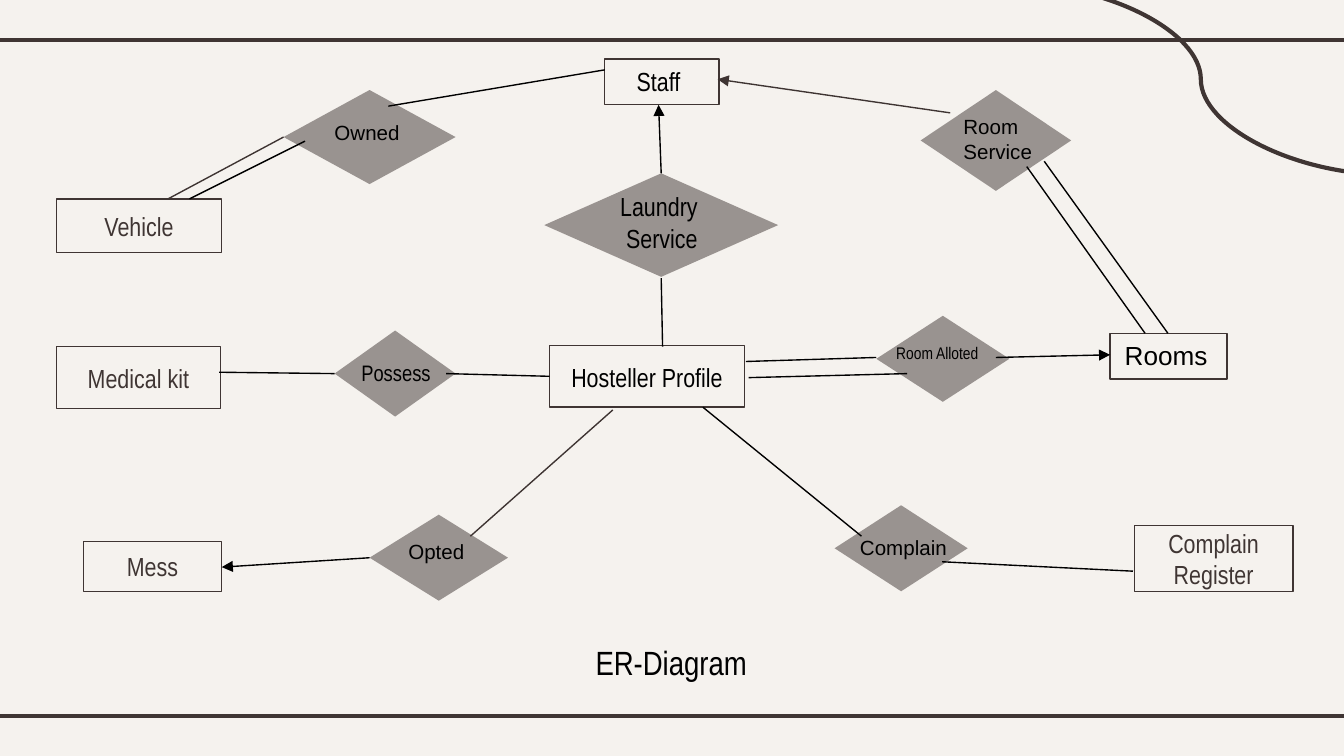
import pptx
import pptx.util
import pptx.dml.color
import pptx.enum.shapes
import pptx.enum.text
import pptx.oxml
import pptx.oxml.ns

Inches = pptx.util.Inches
SHAPE = pptx.enum.shapes.MSO_SHAPE
CONNECTOR = pptx.enum.shapes.MSO_CONNECTOR
ALIGN = pptx.enum.text.PP_ALIGN
ANCHOR = pptx.enum.text.MSO_ANCHOR
BROWN, DARK, BLACK, PAPER = "3F3533", "3E3432", "000000", "F5F2EE"
NARROW, WIDE = "Arial Narrow", "Arial"

ENTITIES = [
    ((4.09, 2.57, 1.45, 0.46), ""),
    ((8.26, 2.48, 0.87, 0.34), ""),
    ((4.5, 0.44, 0.85, 0.34), ""),
    ((0.42, 2.58, 1.22, 0.46), "Medical kit"),
    ((0.42, 1.48, 1.23, 0.4), "Vehicle"),
    ((0.62, 4.03, 1.03, 0.37), "Mess"),
    ((8.44, 3.91, 1.18, 0.49), "Complain Register"),
]
RELATIONSHIPS = [
    (6.52, 2.35, 0.99, 0.64),
    (4.05, 1.29, 1.74, 0.77),
    (2.11, 0.67, 1.28, 0.7),
    (6.85, 0.67, 1.12, 0.75),
    (2.49, 2.46, 0.9, 0.64),
    (2.75, 3.83, 1.03, 0.64),
    (6.21, 3.76, 0.99, 0.64),
]
LABELS = [
    ((4.06, 2.64, 1.51, 0.34), ["Hosteller Profile"], 14, NARROW, ALIGN.CENTER),
    ((6.57, 2.5, 0.89, 0.25), ["Room Alloted"], 9, NARROW, ALIGN.LEFT),
    ((8.27, 2.48, 0.87, 0.34), ["Rooms"], 14, WIDE, ALIGN.LEFT),
    ((4.23, 0.44, 1.34, 0.34), ["Staff"], 14, NARROW, ALIGN.CENTER),
    ((4.27, 1.37, 1.31, 0.57), ["Laundry ", "Service"], 14, NARROW, ALIGN.CENTER),
    ((7.07, 0.8, 0.87, 0.47), ["Room Service"], 11, WIDE, ALIGN.LEFT),
    ((6.3, 3.93, 0.89, 0.29), ["Complain"], 11, WIDE, ALIGN.LEFT),
    ((2.94, 3.96, 0.77, 0.29), ["Opted"], 11, WIDE, ALIGN.LEFT),
    ((2.59, 2.62, 0.73, 0.3), ["Possess"], 12, NARROW, ALIGN.LEFT),
    ((2.39, 0.84, 0.72, 0.29), ["Owned"], 11, WIDE, ALIGN.LEFT),
]
LINKS = [
    ((7.64, 1.24, 8.52, 2.48), BLACK),
    ((7.77, 1.2, 8.69, 2.48), BLACK),
    ((4.92, 2.07, 4.93, 2.58), BLACK),
    ((1.41, 1.48, 2.27, 1.05), BLACK),
    ((1.25, 1.48, 2.11, 1.02), DARK),
    ((2.89, 0.79, 4.5, 0.52), BLACK),
    ((1.63, 2.77, 2.49, 2.78), BLACK),
    ((3.32, 2.78, 4.09, 2.8), BLACK),
    ((5.55, 2.69, 6.52, 2.66), BLACK),
    ((5.57, 2.81, 6.75, 2.78), BLACK),
    ((3.5, 3.99, 4.56, 3.05), DARK),
    ((5.23, 3.03, 6.41, 3.99), BLACK),
    ((7.01, 4.18, 8.43, 4.25), BLACK),
]
ARROWS = [
    ((4.92, 1.29, 4.9, 0.78), BLACK),
    ((7.41, 2.66, 8.26, 2.64), BLACK),
    ((2.75, 4.15, 1.65, 4.22), BLACK),
    ((7.07, 0.84, 5.34, 0.59), DARK),
]


def rgb(value):
    """Return the colour for a hex string."""
    return pptx.dml.color.RGBColor.from_string(value)


def add_xml(parent, tag, **attributes):
    """Append a DrawingML element to parent and return it."""
    child = pptx.oxml.parse_xml(f"<{tag} {pptx.oxml.ns.nsdecls('a')}/>")
    for name, value in attributes.items():
        child.set(name, value)
    parent.append(child)
    return child


def write(tf, lines, size, font, color, align, anchor):
    """Fill a text frame with one paragraph per line."""
    tf.word_wrap = True
    tf.vertical_anchor = anchor
    for i, line in enumerate(lines):
        p = tf.paragraphs[0] if i == 0 else tf.add_paragraph()
        p.alignment = align
        r = p.add_run()
        r.text = line
        r.font.size = pptx.util.Pt(size)
        r.font.name = font
        r.font.color.rgb = rgb(color)


def add_title(s, box, text):
    """Place and format the slide title."""
    sp = s.shapes.title
    sp.left, sp.top, sp.width, sp.height = map(Inches, box)
    write(sp.text_frame, [text], 18, NARROW, BLACK, ALIGN.CENTER, ANCHOR.TOP)


def add_label(s, box, lines, size, font, align):
    """Add a text box."""
    sp = s.shapes.add_textbox(*map(Inches, box))
    write(sp.text_frame, lines, size, font, BLACK, align, ANCHOR.TOP)


def add_entity(s, box, text):
    """Add an outlined entity rectangle, with its name if given."""
    sp = s.shapes.add_shape(SHAPE.RECTANGLE, *map(Inches, box))
    sp.shadow.inherit = False
    sp.fill.background()
    sp.line.color.rgb = rgb(BROWN)
    sp.line.width = pptx.util.Pt(0.75)
    if text:
        write(sp.text_frame, [text], 14, NARROW, BROWN, ALIGN.CENTER, ANCHOR.MIDDLE)


def add_relationship(s, box):
    """Add a half-transparent relationship diamond."""
    sp = s.shapes.add_shape(SHAPE.FLOWCHART_DECISION, *map(Inches, box))
    sp.shadow.inherit = False
    sp.fill.solid()
    sp.fill.fore_color.rgb = rgb(BROWN)
    color = sp._element.spPr.find(".//" + pptx.oxml.ns.qn("a:srgbClr"))
    add_xml(color, "a:alpha", val="50000")
    sp.line.fill.background()


def add_line(s, ends, color, width=0.75, kind=CONNECTOR.STRAIGHT, arrow=False):
    """Add a connector, with an arrowhead at its end if wanted."""
    sp = s.shapes.add_connector(kind, *map(Inches, ends))
    sp.line.color.rgb = rgb(color)
    sp.line.width = pptx.util.Pt(width)
    if arrow:
        add_xml(sp.line._get_or_add_ln(), "a:tailEnd", type="triangle")
    add_xml(sp._element.spPr, "a:effectLst")


def main():
    """Build the entity-relationship slide."""
    prs = pptx.Presentation()
    prs.slide_width = Inches(10)
    prs.slide_height = prs.slide_width * 9 // 16
    s = prs.slides.add_slide(prs.slide_layouts[5])
    s.background.fill.solid()
    s.background.fill.fore_color.rgb = rgb(PAPER)
    for y in (0.3, 5.33):
        add_line(s, (-0.08, y, 10.08, y), BROWN, 2.25)
    add_line(s, (7.53, -0.12, 10.34, 1.3), BROWN, 2.25, CONNECTOR.CURVE)
    add_title(s, (3.24, 4.73, 3.51, 0.4), "ER-Diagram")
    for box, text in ENTITIES:
        add_entity(s, box, text)
    for box in RELATIONSHIPS:
        add_relationship(s, box)
    for label in LABELS:
        add_label(s, *label)
    for ends, color in LINKS:
        add_line(s, ends, color)
    for ends, color in ARROWS:
        add_line(s, ends, color, arrow=True)
    prs.save("out.pptx")


if __name__ == "__main__":
    main()
